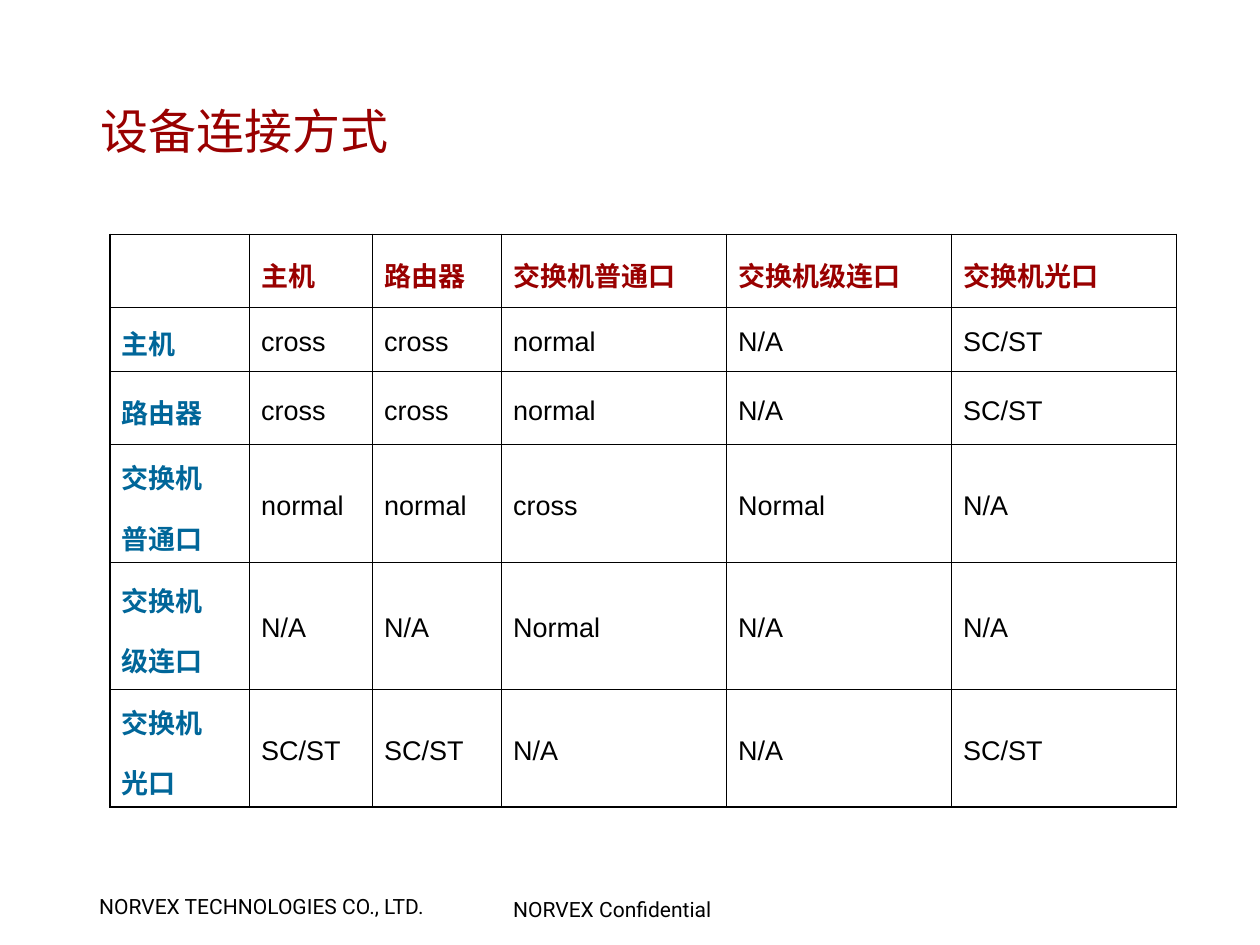
from pptx import Presentation
from pptx.dml.color import RGBColor
from pptx.enum.text import MSO_ANCHOR, PP_ALIGN
from pptx.oxml.ns import qn
from pptx.util import Pt
from lxml import etree

MIDDLE = MSO_ANCHOR.MIDDLE
LEFT = PP_ALIGN.LEFT

RED, BLUE, BLACK = "990000", "006699", "000000"
TITLE = "设备连接方式"
FOOTERS = [
    ("NORVEX TECHNOLOGIES CO., LTD.", 59, 592, 243),
    ("NORVEX Confidential", 335, 594, 157),
]
CONNECTIONS = [
    ("", "主机", "路由器", "交换机普通口", "交换机级连口", "交换机光口"),
    ("主机", "cross", "cross", "normal", "N/A", "SC/ST"),
    ("路由器", "cross", "cross", "normal", "N/A", "SC/ST"),
    ("交换机\n普通口", "normal", "normal", "cross", "Normal", "N/A"),
    ("交换机\n级连口", "N/A", "N/A", "Normal", "N/A", "N/A"),
    ("交换机\n光口", "SC/ST", "SC/ST", "N/A", "N/A", "SC/ST"),
]
COLUMN_WIDTHS = [93, 82, 86, 150, 150, 150]
ROW_HEIGHTS = [48.6, 42.6, 48.8, 78.6, 84.6, 78.6]
TABLE_LEFT, TABLE_TOP = 73.3, 156.2
OUTER_LINE, INNER_LINE = 1.08, 0.45


def style_font(font, name, size, color, bold=False):
    font.name = name
    font.size = Pt(size)
    font.bold = bold
    font.color.rgb = RGBColor.from_string(color)


def add_border(cell, side, width):
    properties = cell._tc.get_or_add_tcPr()
    line = etree.SubElement(properties, qn(f"a:ln{side}"), w=str(int(Pt(width))))
    fill = etree.SubElement(line, qn("a:solidFill"))
    etree.SubElement(fill, qn("a:srgbClr"), val=BLACK)


def fill_cell(cell, text, color, bold):
    cell.text_frame.text = text
    cell.vertical_anchor = MIDDLE
    cell.margin_left = cell.margin_right = Pt(7.9)
    cell.margin_top = cell.margin_bottom = Pt(3.6)
    for index, paragraph in enumerate(cell.text_frame.paragraphs):
        paragraph.line_spacing = 1.2
        paragraph.space_before = Pt(4.5 if index else 0)
        paragraph.space_after = Pt(4.5)
        style_font(paragraph.font, "Arial", 18, color, bold)
        for span in paragraph.runs:
            style_font(span.font, "Arial", 18, color, bold)


def add_title(page):
    title = page.shapes.title
    title.left, title.top, title.width, title.height = Pt(60), Pt(58), Pt(629), Pt(58)
    title.text_frame.text = TITLE
    title.text_frame.vertical_anchor = MIDDLE
    paragraph = title.text_frame.paragraphs[0]
    paragraph.alignment = LEFT
    style_font(paragraph.runs[0].font, "Roboto", 32, RED)


def add_footers(page):
    for text, left, top, width in FOOTERS:
        box = page.shapes.add_textbox(Pt(left), Pt(top), Pt(width), Pt(24))
        box.text_frame.word_wrap = False
        box.text_frame.text = text
        style_font(box.text_frame.paragraphs[0].runs[0].font, "Roboto", 14, BLACK)


def add_connection_table(page):
    row_count, column_count = len(ROW_HEIGHTS), len(COLUMN_WIDTHS)
    frame = page.shapes.add_table(
        row_count, column_count, Pt(TABLE_LEFT), Pt(TABLE_TOP),
        Pt(sum(COLUMN_WIDTHS)), Pt(sum(ROW_HEIGHTS)))
    table = frame.table
    table.horz_banding = False
    table.first_row = False
    for column, width in zip(table.columns, COLUMN_WIDTHS):
        column.width = Pt(width)
    for row, height in zip(table.rows, ROW_HEIGHTS):
        row.height = Pt(height)
    for row, texts in enumerate(CONNECTIONS):
        for column, text in enumerate(texts):
            cell = table.cell(row, column)
            color = RED if row == 0 else BLUE if column == 0 else BLACK
            fill_cell(cell, text, color, color != BLACK)
            outer_sides = {
                "L": column == 0,
                "R": column == column_count - 1,
                "T": row == 0,
                "B": row == row_count - 1,
            }
            for side, outer in outer_sides.items():
                add_border(cell, side, OUTER_LINE if outer else INNER_LINE)
            cell.fill.background()


def main():
    deck = Presentation()
    deck.slide_width, deck.slide_height = Pt(840), Pt(630)
    page = deck.slides.add_slide(deck.slide_layouts[5])
    add_footers(page)
    add_title(page)
    add_connection_table(page)
    deck.save("out.pptx")


if __name__ == "__main__":
    main()
